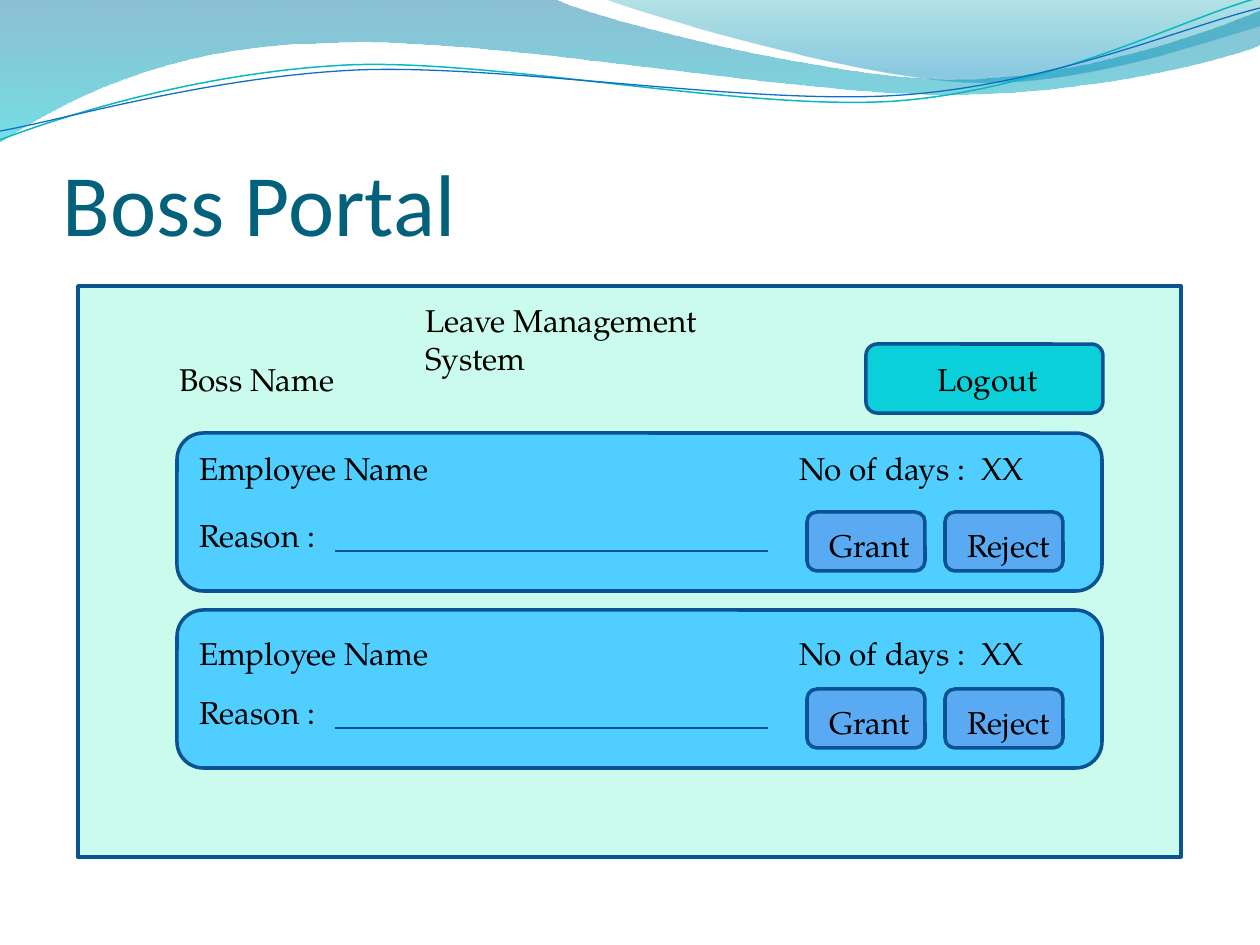
from dataclasses import dataclass
from math import cos, radians, sin

from lxml.etree import SubElement
from pptx import Presentation
from pptx.dml.color import RGBColor
from pptx.enum.shapes import MSO_CONNECTOR, MSO_SHAPE
from pptx.enum.text import MSO_ANCHOR, MSO_AUTO_SIZE
from pptx.oxml.ns import qn
from pptx.util import Emu, Pt

PIXEL = 914400 / 126
TILT = -2.7
PIVOT = (629, 73)
COLORS = {
    "title": "04617B", "text": "000000", "outline": "0B5292", "rule": "095295",
    "panel": "CAFBED", "card": "4FCEFF", "button": "59AAF2", "logout": "0BD0D9",
    "wave_blue": "0074A1", "wave_teal": "00C6CF",
    "crest_teal": "00A1A9", "crest_blue": "008BBF",
    "line_teal": "0AB8BF", "line_blue": "0F6FC6",
}
Point = tuple[int, int]


@dataclass(frozen=True)
class Label:
    """A line of text and the box that holds it, in pixels."""
    text: str
    left: int
    top: int
    width: int
    height: int = 50
    font: str = "TeX Gyre Pagella"
    size: int = 18
    color: str = "text"


@dataclass(frozen=True)
class Stop:
    """A gradient stop; position and opacity are percentages."""
    position: int
    color: str
    opacity: int


@dataclass(frozen=True)
class Wave:
    """An outline: each step has one point (line) or three (cubic curve)."""
    start: Point
    steps: tuple[tuple[Point, ...], ...]
    stops: tuple[Stop, ...] = ()
    line: str = ""
    weight: float = 0


@dataclass(frozen=True)
class Card:
    """A leave request; name_drop is the gap from card top to name."""
    top: int
    name_drop: int


WAVES = (
    Wave((0, 0), (
        ((554, -1),),
        ((600, 21), (837, 79), (955, 79)),
        ((1075, 79), (1207, 33), (1260, 11)),
        ((1261, 45),),
        ((1239, 55), (1096, 96), (940, 94)),
        ((784, 94), (481, 35), (324, 43)),
        ((163, 45), (58, 105), (-1, 142)),
        ((0, 0),),
    ), (Stop(0, "wave_blue", 45), Stop(100, "wave_teal", 55))),
    Wave((604, -1), (
        ((641, 14), (859, 78), (969, 82)),
        ((1079, 87), (1211, 40), (1260, 26)),
        ((1260, 0),),
        ((604, -1),),
    ), (Stop(0, "crest_teal", 30), Stop(80, "crest_blue", 45))),
    Wave((0, 140), (
        ((60, 117), (199, 72), (349, 65)),
        ((498, 59), (747, 112), (898, 101)),
        ((1050, 89), (1182, 19), (1258, -2)),
    ), line="line_teal", weight=0.85),
    Wave((0, 131), (
        ((59, 121), (207, 77), (357, 70)),
        ((508, 64), (752, 106), (903, 95)),
        ((1053, 84), (1186, 26), (1260, 8)),
    ), line="line_blue", weight=0.75),
)
TITLE = Label("Boss Portal", 63, 97, 1134, 157, "Calibri", 50, "title")
HEADERS = (
    Label("Leave Management System", 413, 295, 396),
    Label("Boss Name", 167, 354, 354),
)
LOGOUT = Label("Logout", 925, 354, 158)
CARDS = (Card(433, 10), Card(610, 18))
BUTTONS = (("Grant", 807), ("Reject", 945))


def px(value: float) -> Emu:
    """Turn pixels into EMU."""
    return Emu(round(value * PIXEL))


def rgb(name: str) -> RGBColor:
    """Look up a named colour."""
    return RGBColor.from_string(COLORS[name])


def place(point: Point, tilt: float) -> tuple[Emu, Emu]:
    """Give a point in EMU as it lies before the shape is tilted."""
    angle = radians(-tilt)
    dx, dy = point[0] - PIVOT[0], point[1] - PIVOT[1]
    return (px(PIVOT[0] + dx * cos(angle) - dy * sin(angle)),
            px(PIVOT[1] + dx * sin(angle) + dy * cos(angle)))


def bend(shape, wave: Wave) -> None:
    """Join each group of three straight segments into one cubic curve."""
    segments = iter(list(shape._element.iter(qn("a:lnTo"))))
    for step in wave.steps:
        first = next(segments)
        if len(step) == 3:
            first.tag = qn("a:cubicBezTo")
            for _ in range(2):
                extra = next(segments)
                first.append(extra[0])
                extra.getparent().remove(extra)


def add_wave(page, wave: Wave) -> None:
    """Draw a gradient wave or a tilted wave line."""
    tilt = 0 if wave.stops else TILT
    x, y = place(wave.start, tilt)
    builder = page.shapes.build_freeform(x, y, scale=1.0)
    points = [place(point, tilt) for step in wave.steps for point in step]
    builder.add_line_segments(points, close=bool(wave.stops))
    shape = builder.convert_to_shape()
    bend(shape, wave)
    shape.shadow.inherit = False
    if not wave.stops:
        shape.rotation = 360 + tilt
        shape.fill.background()
        shape.line.color.rgb = rgb(wave.line)
        shape.line.width = Pt(wave.weight)
        return
    shape.line.fill.background()
    shape.fill.gradient()
    shape.fill.gradient_angle = 270
    for target, stop in zip(shape.fill.gradient_stops, wave.stops):
        target.position = stop.position / 100
        target.color.rgb = rgb(stop.color)
    gradient = shape._element.spPr.find(qn("a:gradFill"))
    for color, stop in zip(gradient.iter(qn("a:srgbClr")), wave.stops):
        SubElement(color, qn("a:alpha"), val=str(stop.opacity * 1000))


def add_box(page, kind, left: int, top: int, width: int, height: int, fill: str) -> None:
    """Draw a filled and outlined box."""
    box = page.shapes.add_shape(kind, px(left), px(top), px(width), px(height))
    box.shadow.inherit = False
    box.fill.solid()
    box.fill.fore_color.rgb = rgb(fill)
    box.line.color.rgb = rgb("outline")
    box.line.width = Pt(2)


def add_label(page, label: Label):
    """Write a label and return its text frame."""
    box = page.shapes.add_textbox(px(label.left), px(label.top), px(label.width), px(label.height))
    frame = box.text_frame
    frame.word_wrap = True
    frame.auto_size = MSO_AUTO_SIZE.SHAPE_TO_FIT_TEXT
    span = frame.paragraphs[0].add_run()
    span.text = label.text
    span.font.name = label.font
    span.font.size = Pt(label.size)
    span.font.color.rgb = rgb(label.color)
    return frame


def add_title(page) -> None:
    """Write the title at the bottom of its box."""
    frame = add_label(page, TITLE)
    frame.auto_size = MSO_AUTO_SIZE.NONE
    frame.vertical_anchor = MSO_ANCHOR.BOTTOM
    frame.margin_left = frame.margin_right = frame.margin_bottom = 0


def add_card(page, card: Card) -> None:
    """Draw a leave request with its fields and buttons."""
    add_box(page, MSO_SHAPE.ROUNDED_RECTANGLE, 177, card.top, 925, 158, "card")
    name_top = card.top + card.name_drop
    add_label(page, Label("Employee Name", 187, name_top, 354))
    add_label(page, Label("No of days :  XX", 787, name_top, 354))
    add_label(page, Label("Reason :", 187, card.top + 77, 354))
    rule_y = px(card.top + 118)
    rule = page.shapes.add_connector(MSO_CONNECTOR.STRAIGHT, px(335), rule_y, px(768), rule_y)
    rule.line.color.rgb = rgb("rule")
    rule.line.width = Pt(0.75)
    SubElement(rule._element.spPr, qn("a:effectLst"))
    for text, left in BUTTONS:
        add_box(page, MSO_SHAPE.ROUNDED_RECTANGLE, left, card.top + 79, 118, 59, "button")
        add_label(page, Label(text, left + 10, card.top + 87, 108))


def main() -> None:
    """Build the slide and save it."""
    deck = Presentation()
    deck.slide_width, deck.slide_height = px(1260), px(945)
    page = deck.slides.add_slide(deck.slide_layouts[6])
    for wave in WAVES:
        add_wave(page, wave)
    add_title(page)
    add_box(page, MSO_SHAPE.RECTANGLE, 78, 286, 1103, 571, "panel")
    for header in HEADERS:
        add_label(page, header)
    for card in CARDS:
        add_card(page, card)
    add_box(page, MSO_SHAPE.ROUNDED_RECTANGLE, 866, 344, 237, 69, "logout")
    add_label(page, LOGOUT)
    deck.save("out.pptx")


main()
